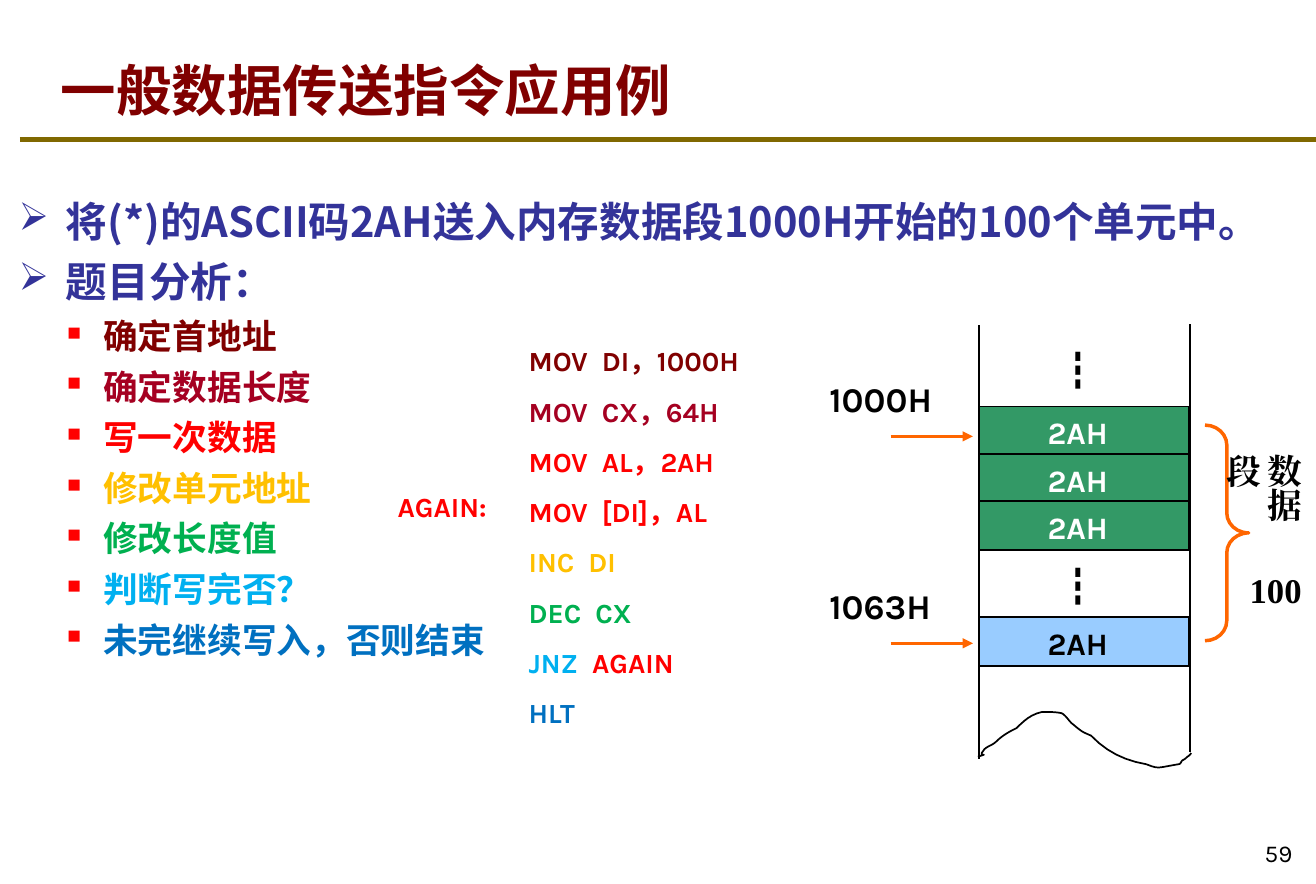
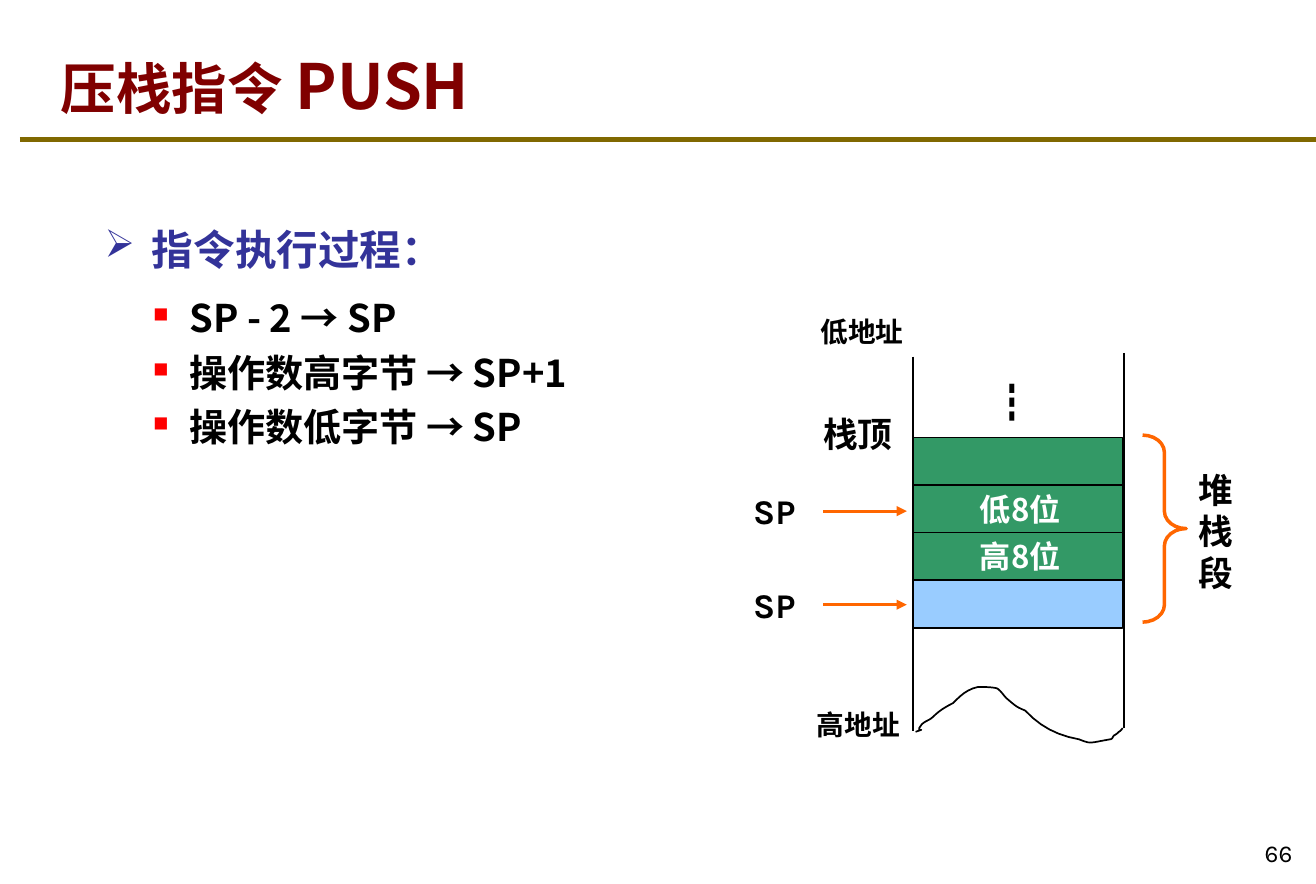
"""Build two slides on data transfer and stack instructions."""
from dataclasses import dataclass

from lxml.etree import SubElement
from pptx import Presentation
from pptx.dml.color import RGBColor
from pptx.enum.shapes import MSO_CONNECTOR, MSO_SHAPE
from pptx.enum.text import MSO_ANCHOR, PP_ALIGN
from pptx.oxml.ns import qn
from pptx.util import Inches, Pt


@dataclass(frozen=True)
class Theme:
    """Colours, fonts and type sizes of the deck."""
    black: str = "000000"
    white: str = "FFFFFF"
    maroon: str = "800000"
    crimson: str = "A50021"
    red: str = "FF0000"
    amber: str = "FFC000"
    leaf: str = "00B050"
    sky: str = "00B0F0"
    blue: str = "0070C0"
    indigo: str = "333399"
    olive: str = "806800"
    orange: str = "FF6600"
    used_cell: str = "339966"
    last_cell: str = "99CCFF"
    chinese: str = "Noto Sans CJK SC"
    latin: str = "Karla"
    serif: str = "Times New Roman"
    title: int = 32
    title_latin: int = 36
    heading: int = 24
    operation: int = 22
    label: int = 20
    cell: int = 18
    code: int = 16
    number: int = 14


THEME = Theme()
COLUMN_WIDTH = 1.69
CELL_WIDTH = 1.68
CELL_HEIGHT = 0.39
CELL_PITCH = 0.38
WAVE_WIDTH = 1.68
WAVE = [
    (0.02, 0.36), (0.13, 0.32), (0, 0.38), (0.07, 0.3),
    (0.1, 0.27), (0.13, 0.27), (0.16, 0.24),
    (0.21, 0.19), (0.26, 0.16), (0.32, 0.13),
    (0.38, 0.07), (0.43, 0.02), (0.52, 0),
    (0.57, 0), (0.62, 0), (0.67, 0.01),
    (0.7, 0.02), (0.74, 0.09), (0.76, 0.1),
    (0.83, 0.16), (0.83, 0.16), (0.9, 0.19),
    (1.02, 0.32), (1.16, 0.39), (1.33, 0.42),
    (1.43, 0.46), (1.41, 0.45), (1.58, 0.42),
    (1.6, 0.42), (1.6, 0.4), (1.61, 0.39),
    (1.63, 0.38), (1.64, 0.37), (1.65, 0.36),
    (1.67, 0.35), (1.68, 0.33), (1.68, 0.33),
]


def add_span(para, text, size=THEME.label, color=THEME.black, font=THEME.latin, bold=True):
    """Add formatted text to a paragraph."""
    span = para.add_run()
    span.text = text
    span.font.size = Pt(size)
    span.font.bold = bold
    span.font.color.rgb = RGBColor.from_string(color)
    span.font.name = font
    SubElement(span.font._element, qn("a:ea"), typeface=font)
    return span


def add_bullet(para, level):
    """Give a paragraph the bullet and indent of its level."""
    margin, indent, size, symbol = [(0.38, -0.38, 93, "➢"), (0.68, -0.29, 55, "■")][level]
    para.level = level
    properties = para._p.get_or_add_pPr()
    properties.set("marL", str(Inches(margin)))
    properties.set("indent", str(Inches(indent)))
    if level:
        color = SubElement(properties, qn("a:buClr"))
        SubElement(color, qn("a:srgbClr"), val=THEME.red)
    SubElement(properties, qn("a:buSzPct"), val=str(size * 1000))
    SubElement(properties, qn("a:buChar"), char=symbol)


def curve_points(points, steps=6):
    """Return points along a chain of cubic curves."""
    result = []
    for start in range(0, len(points) - 1, 3):
        first, second, third, last = points[start:start + 4]
        for step in range(1, steps + 1):
            t = step / steps
            u = 1 - t
            result.append(tuple(
                u ** 3 * a + 3 * u * u * t * b + 3 * u * t * t * c + t ** 3 * d
                for a, b, c, d in zip(first, second, third, last)))
    return result


class Page:
    """Draw styled elements on one slide."""

    def __init__(self, deck, title, number):
        """Start a slide with its title, rule and page number."""
        self.shapes = deck.slides.add_slide(deck.slide_layouts[6]).shapes
        self.line(0.16, 1.12, 10.55, 1.12, THEME.olive, 3)
        self.text(number, 9.82, 6.54, 0.64, 0.47, align=PP_ALIGN.RIGHT,
                  anchor=MSO_ANCHOR.BOTTOM, size=THEME.number, bold=False)
        self.title = self.text(title, 0.39, 0.24, 8.99, 0.79, anchor=MSO_ANCHOR.BOTTOM,
                               size=THEME.title, color=THEME.maroon, font=THEME.chinese)

    def box(self, left, top, width, height, anchor=MSO_ANCHOR.TOP):
        """Add an empty wrapping text box."""
        box = self.shapes.add_textbox(Inches(left), Inches(top), Inches(width), Inches(height))
        box.text_frame.word_wrap = True
        box.text_frame.vertical_anchor = anchor
        return box

    def text(self, text, left, top, width, height, align=PP_ALIGN.LEFT,
             anchor=MSO_ANCHOR.TOP, **style):
        """Add a box with one paragraph."""
        box = self.box(left, top, width, height, anchor)
        para = box.text_frame.paragraphs[0]
        para.alignment = align
        add_span(para, text, **style)
        return box

    def paragraphs(self, box, count, align=PP_ALIGN.LEFT):
        """Yield the given number of aligned paragraphs of a box."""
        for index in range(count):
            frame = box.text_frame
            para = frame.add_paragraph() if index else frame.paragraphs[0]
            para.alignment = align
            yield para

    def bullets(self, items, left, top, width, height, sizes, lines, gaps, align=PP_ALIGN.LEFT):
        """Add a two-level list of level, text and colour."""
        box = self.box(left, top, width, height)
        for para, (level, text, color) in zip(self.paragraphs(box, len(items), align), items):
            add_bullet(para, level)
            para.line_spacing = Pt(lines[level])
            para.space_after = Pt(gaps[level])
            add_span(para, text, size=sizes[level], color=color, font=THEME.chinese)

    def code(self, rows, left, top, width, height):
        """Add code rows made of text and colour pairs."""
        box = self.box(left, top, width, height)
        for para, row in zip(self.paragraphs(box, len(rows)), rows):
            para.line_spacing = Pt(23)
            para.space_after = Pt(6)
            for text, color in row:
                add_span(para, text, size=THEME.code, color=color)

    def outline(self, shape, color, width):
        """Style the line of a shape and drop its shadow."""
        shape.line.color.rgb = RGBColor.from_string(color)
        shape.line.width = Pt(width)

    def line(self, left, top, right, bottom, color=THEME.black, width=1, arrow=False):
        """Add a straight line or arrow."""
        line = self.shapes.add_connector(MSO_CONNECTOR.STRAIGHT, Inches(left), Inches(top),
                                         Inches(right), Inches(bottom))
        self.outline(line, color, width)
        properties = line._element.spPr
        if arrow:
            SubElement(properties.find(qn("a:ln")), qn("a:tailEnd"), type="triangle")
        SubElement(properties, qn("a:effectLst"))

    def arrow(self, left, right, y):
        """Add a horizontal pointer to a memory cell."""
        self.line(left, y, right, y, THEME.orange, 1.75, arrow=True)

    def cell(self, left, top, fill):
        """Add one memory cell."""
        cell = self.shapes.add_shape(MSO_SHAPE.RECTANGLE, Inches(left), Inches(top),
                                     Inches(CELL_WIDTH), Inches(CELL_HEIGHT))
        cell.shadow.inherit = False
        cell.fill.solid()
        cell.fill.fore_color.rgb = RGBColor.from_string(fill)
        self.outline(cell, THEME.black, 1)

    def brace(self, left, top, height, curl):
        """Add a right brace."""
        brace = self.shapes.add_shape(MSO_SHAPE.RIGHT_BRACE, Inches(left), Inches(top),
                                      Inches(0.35), Inches(height))
        brace.shadow.inherit = False
        brace.adjustments[0] = curl
        brace.fill.background()
        self.outline(brace, THEME.orange, 2)

    def wave(self, left, top, width):
        """Add the torn lower edge of the memory column."""
        scale = width / WAVE_WIDTH
        points = [(Inches(left + x * scale), Inches(top + y))
                  for x, y in WAVE[:1] + curve_points(WAVE)]
        builder = self.shapes.build_freeform(*points[0])
        builder.add_line_segments(points[1:], close=False)
        wave = builder.convert_to_shape()
        wave.shadow.inherit = False
        wave.fill.background()
        self.outline(wave, THEME.black, 1)

    def memory(self, left, cells, left_rail, right_rail, wave, dots):
        """Add a memory column with cells, side rails, torn edge and dots."""
        for top, fill in cells:
            self.cell(left, top, fill)
        for x, (top, bottom) in ((left, left_rail), (left + COLUMN_WIDTH, right_rail)):
            self.line(x, top, x, bottom)
        self.wave(*wave)
        for top in dots:
            self.text("┇", left + 0.53, top, 0.7, 0.51, size=THEME.heading,
                      font=THEME.chinese, bold=False)


def build_transfer(deck):
    """Build the data transfer example."""
    page = Page(deck, "一般数据传送指令应用例", "59")
    steps = [("确定首地址", THEME.maroon), ("确定数据长度", THEME.crimson),
             ("写一次数据", THEME.red), ("修改单元地址", THEME.amber),
             ("修改长度值", THEME.leaf), ("判断写完否？", THEME.sky),
             ("未完继续写入，否则结束", THEME.blue)]
    items = [(0, "将(*)的ASCII码2AH送入内存数据段1000H开始的100个单元中。", THEME.indigo),
             (0, "题目分析：", THEME.indigo)] + [(1, *step) for step in steps]
    page.bullets(items, 0.05, 1.5, 10.51, 4.76, sizes=(THEME.heading, THEME.label),
                 lines=(30.6, 25.2), gaps=(4, 4))
    tops = [3.26 + CELL_PITCH * index for index in range(3)]
    cells = [(top, THEME.used_cell) for top in tops] + [(4.95, THEME.last_cell)]
    page.memory(7.85, cells, (2.61, 6.09), (2.6, 6.03), (7.82, 5.71, 1.73), (2.72, 4.45))
    for top, fill in cells:
        color = THEME.white if fill == THEME.used_cell else THEME.black
        page.text("2AH", 8.3, top + 0.01, 1.08, 0.4, size=THEME.cell, color=color)
    for address, top in (("1000H", 2.98), ("1063H", 4.64)):
        page.text(address, 6.55, top, 1.21, 0.44)
        page.arrow(7.14, 7.8, top + 0.52)
    page.brace(9.66, 3.41, 1.73, 0.457)
    page.text("100", 9.92, 4.51, 0.66, 0.44, font=THEME.serif)
    segment = page.text("数据段", 9.97, 3.54, 0.54, 1.03, font=THEME.serif)
    segment._element.txBody.bodyPr.set("vert", "eaVert")
    page.code([[("MOV  DI，1000H", THEME.maroon)], [("MOV  CX，64H", THEME.crimson)],
               [("MOV  AL，2AH", THEME.red)], [("MOV  [DI]，AL", THEME.red)],
               [("INC  DI", THEME.amber)], [("DEC  CX", THEME.leaf)],
               [("JNZ  ", THEME.sky), ("AGAIN", THEME.red)], [("HLT", THEME.blue)]],
              4.14, 2.66, 2.34, 3.23)
    page.text("AGAIN:", 3.09, 3.88, 1.04, 0.37, size=THEME.code, color=THEME.red)


def build_push(deck):
    """Build the stack push explanation."""
    page = Page(deck, "压栈指令 ", "66")
    add_span(page.title.text_frame.paragraphs[0], "PUSH", size=THEME.title_latin,
             color=THEME.maroon, font=THEME.chinese)
    operations = ["SP - 2 → SP", "操作数高字节 → SP+1", "操作数低字节 → SP"]
    items = [(0, "指令执行过程：", THEME.indigo)] + [(1, text, THEME.black) for text in operations]
    page.bullets(items, 0.74, 1.68, 5.74, 3.66, sizes=(THEME.heading, THEME.operation),
                 lines=(33.6, 25.5), gaps=(13, 6), align=PP_ALIGN.JUSTIFY)
    fills = [THEME.used_cell] * 3 + [THEME.last_cell]
    cells = [(3.51 + CELL_PITCH * index, fill) for index, fill in enumerate(fills)]
    page.memory(7.32, cells, (2.86, 5.86), (2.83, 5.84), (7.32, 5.51, 1.68), (2.97,))
    for text, (top, fill) in zip(("低8位", "高8位"), cells[1:3]):
        page.text(text, 7.64, top - 0.01, 1.08, 0.4, align=PP_ALIGN.CENTER,
                  size=THEME.cell, color=THEME.white, font=THEME.chinese)
    for top in (3.88, 4.63):
        page.text("SP", 5.94, top, 0.95, 0.44)
        page.arrow(6.6, 7.27, top + 0.22)
    page.brace(9.16, 3.49, 1.5, 0.396)
    segment = page.text("堆栈段", 9.51, 3.71, 0.53, 1.11, font=THEME.chinese)
    segment.text_frame.paragraphs[0].line_spacing = Pt(24)
    page.text("低地址", 6.48, 2.48, 0.91, 0.37, size=THEME.code)
    page.text("栈顶", 6.5, 3.26, 0.91, 0.44)
    page.text("高地址", 6.45, 5.63, 0.91, 0.37, size=THEME.code)


def main():
    """Build and save the deck."""
    deck = Presentation()
    deck.slide_width = Inches(10.55)
    deck.slide_height = Inches(7.09)
    build_transfer(deck)
    build_push(deck)
    deck.save("out.pptx")


if __name__ == "__main__":
    main()
